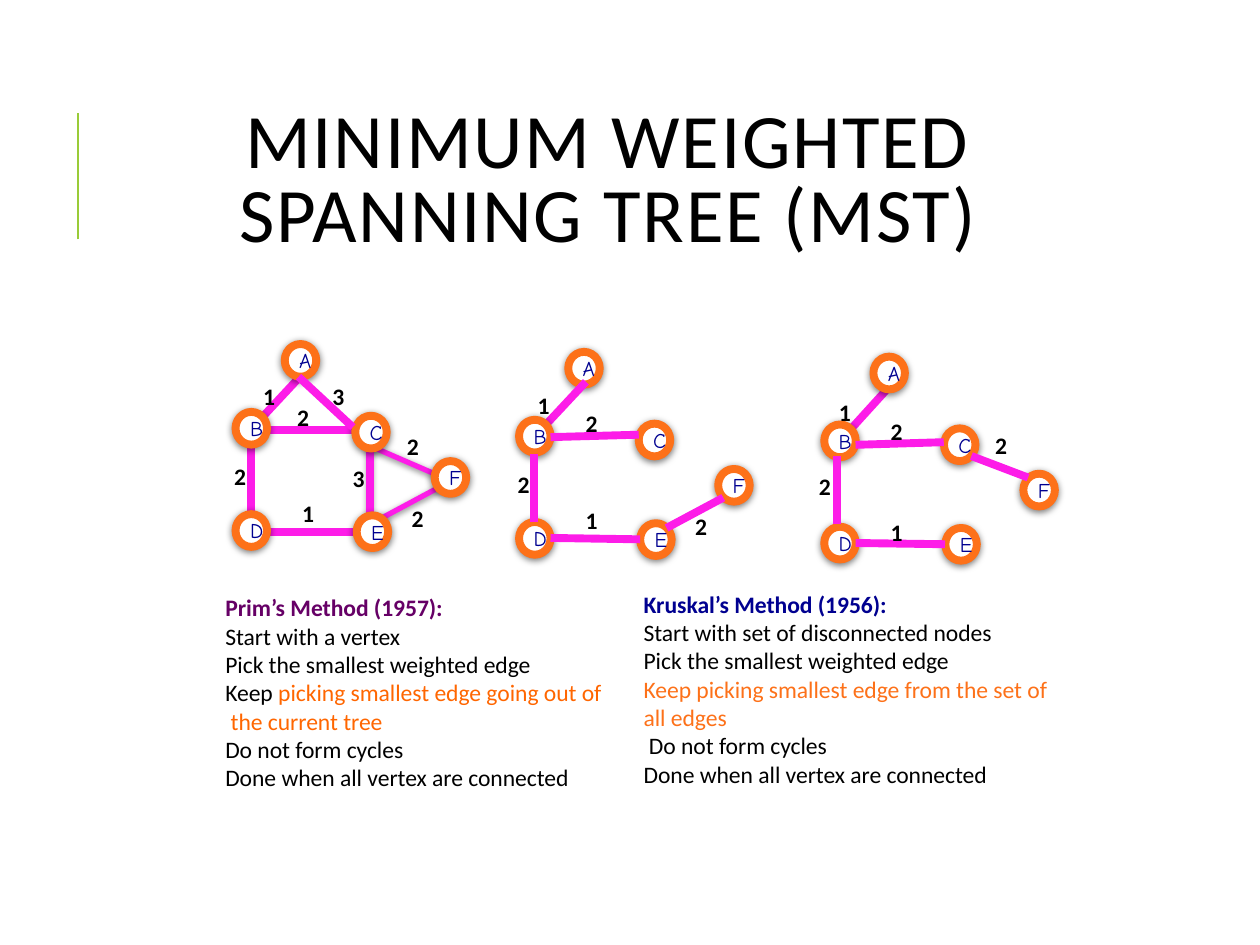
from lxml import etree
from pptx import Presentation
from pptx.dml.color import RGBColor
from pptx.enum.shapes import MSO_CONNECTOR, MSO_SHAPE
from pptx.enum.text import MSO_ANCHOR, MSO_AUTO_SIZE, PP_ALIGN
from pptx.oxml import parse_xml
from pptx.oxml.ns import qn
from pptx.util import Pt

STRAIGHT = MSO_CONNECTOR.STRAIGHT
OVAL = MSO_SHAPE.OVAL
TRIANGLE = MSO_SHAPE.ISOSCELES_TRIANGLE
RECTANGLE = MSO_SHAPE.RECTANGLE
MIDDLE = MSO_ANCHOR.MIDDLE
CENTER = PP_ALIGN.CENTER
NO_FIT = MSO_AUTO_SIZE.NONE
GROW = MSO_AUTO_SIZE.SHAPE_TO_FIT_TEXT

THEME = {
    "text": "000000", "accent": "99CB38", "edge": "FD1CE8",
    "ring": "FD7119", "white": "FFFFFF", "navy": "000090",
    "purple": "660066", "orange": "FF6600",
    "font": "Calibri", "node_font": "Comic Neue",
    "title_size": 44, "body_size": 13.5, "node_size": 12,
}
SHADOW = (
    '<a:outerShdw xmlns:a="http://schemas.openxmlformats.org/drawingml/2006/main" '
    'blurRad="50800" dist="12700" dir="5400000" rotWithShape="0">'
    '<a:srgbClr val="000000"><a:alpha val="50000"/></a:srgbClr></a:outerShdw>'
)


def style_run(r, color, size=THEME["body_size"], font=THEME["font"], bold=False):
    r.font.name = font
    r.font.size = Pt(size)
    r.font.bold = bold
    r.font.color.rgb = RGBColor.from_string(THEME[color])


def style_shape(sp, line_color, width, fill=None, shadow=False):
    sp.line.color.rgb = RGBColor.from_string(THEME[line_color])
    sp.line.width = Pt(width)
    effects = etree.SubElement(sp._element.spPr, qn("a:effectLst"))
    if shadow:
        effects.append(parse_xml(SHADOW))
    if fill:
        sp.fill.solid()
        sp.fill.fore_color.rgb = RGBColor.from_string(THEME[fill])
    elif hasattr(sp, "fill"):
        sp.fill.background()


prs = Presentation()
prs.slide_width, prs.slide_height = Pt(720), Pt(540)
s = prs.slides.add_slide(prs.slide_layouts[5])

title = s.shapes.title
title.left, title.top, title.width, title.height = Pt(60.5), Pt(46), Pt(574), Pt(118)
tf = title.text_frame
tf.text = "MINIMUM WEIGHTED SPANNING TREE (MST)"
tf.word_wrap = True
tf.auto_size = NO_FIT
tf.vertical_anchor = MIDDLE
p = tf.paragraphs[0]
p.alignment = CENTER
p.line_spacing = 0.8
style_run(p.runs[0], "text", THEME["title_size"])
p.runs[0].font._element.set("spc", "100")

bar = s.shapes.add_connector(STRAIGHT, Pt(44.6), Pt(136.8), Pt(44.6), Pt(64.8))
style_shape(bar, "accent", 1.5)

cycle = s.shapes.add_shape(TRIANGLE, Pt(212.4), Pt(254.2), Pt(44.6), Pt(46))
cycle.rotation = 90
cycle.adjustments[0] = 0.447
style_shape(cycle, "edge", 3, shadow=True)
square = s.shapes.add_shape(RECTANGLE, Pt(143.3), Pt(245.5), Pt(68.4), Pt(58.3))
style_shape(square, "edge", 4.5)

NODES = {
    "A": (162.7, 196.6), "B": (134.6, 235.4), "C": (203, 237.6),
    "D": (134.6, 293.8), "E": (203.8, 294.5), "F": (248.4, 263.5),
}
FULL, PRIM, KRUSKAL = (0, 0), (162, 4.5), (336.4, 7.2)
LAYERS = [
    (FULL, "", [(143.3, 245.5, 172.8, 213.8)]),
    (FULL, "CBDEFA", [(170.6, 215.3, 201.6, 244.1)]),
    (PRIM, "CDEFA", [(305.3, 249.8, 334.8, 218.2)]),
    (PRIM, "B", [
        (305.3, 259.2, 305.3, 298.1), (314.6, 307.4, 365.8, 308.2),
        (380.9, 301.7, 413.3, 284.4), (314.6, 249.8, 365, 248.4),
    ]),
    (KRUSKAL, "", [(477.4, 254.9, 506.2, 223.2)]),
    (KRUSKAL, "CDEFAB", [
        (488.9, 310.3, 540, 311), (478.1, 260.6, 478.1, 299.5),
        (488.9, 254.2, 539.3, 252.7), (555.1, 260.6, 587.5, 272.9),
    ]),
]
for (dx, dy), names, edges in LAYERS:
    for name in names:
        x, y = NODES[name]
        sp = s.shapes.add_shape(OVAL, Pt(x + dx), Pt(y + dy), Pt(18), Pt(18.7))
        style_shape(sp, "ring", 4.5, "white", shadow=True)
        tf = sp.text_frame
        tf.text = name
        tf.vertical_anchor = MIDDLE
        p = tf.paragraphs[0]
        p.alignment = CENTER
        style_run(p.runs[0], "navy", THEME["node_size"], THEME["node_font"])
    for edge in edges:
        style_shape(s.shapes.add_connector(STRAIGHT, *map(Pt, edge)), "edge", 4.5)

WEIGHTS = [
    ("1", 143.3, 214.6), ("3", 182.9, 214.6), ("2", 162.7, 226.8),
    ("2", 126.7, 260.6), ("1", 165.6, 281.5), ("3", 194.4, 261.4),
    ("2", 225.4, 243.4), ("2", 228.2, 284.4),
    ("1", 300.2, 219.6), ("2", 288.7, 265), ("1", 327.6, 285.8),
    ("2", 390.2, 288.7), ("2", 327.6, 230.4),
    ("1", 472.3, 223.9), ("1", 501.8, 292.3), ("2", 460.8, 266.4),
    ("2", 501.8, 234.7), ("2", 561.6, 242.6),
]
for weight, x, y in WEIGHTS:
    tf = s.shapes.add_textbox(Pt(x), Pt(y), Pt(22.3), Pt(23.8)).text_frame
    tf.text = weight
    tf.word_wrap = True
    tf.auto_size = GROW
    style_run(tf.paragraphs[0].runs[0], "text", bold=True)

METHODS = [
    (121.7, 335.5, [
        [("Prim’s Method (1957):", "purple")],
        [("Start with a vertex", "text")],
        [("Pick the smallest weighted edge", "text")],
        [("Keep ", "text"), ("picking smallest edge going out of", "orange")],
        [(" the current tree", "orange")],
        [("Do not form cycles", "text")],
        [("Done when all vertex are connected", "text")],
    ]),
    (360.7, 333.4, [
        [("Kruskal’s Method (1956):", "navy")],
        [("Start with set of disconnected nodes", "text")],
        [("Pick the smallest weighted edge", "text")],
        [("Keep picking smallest edge from the set of all edges", "ring")],
        [(" Do not form cycles", "text")],
        [("Done when all vertex are connected", "text")],
    ]),
]
for x, y, lines in METHODS:
    tf = s.shapes.add_textbox(Pt(x), Pt(y), Pt(257), Pt(138.2)).text_frame
    tf.word_wrap = True
    tf.auto_size = GROW
    for i, line in enumerate(lines):
        p = tf.paragraphs[0] if i == 0 else tf.add_paragraph()
        for text, color in line:
            r = p.add_run()
            r.text = text
            style_run(r, color, bold=i == 0)

prs.save("out.pptx")
